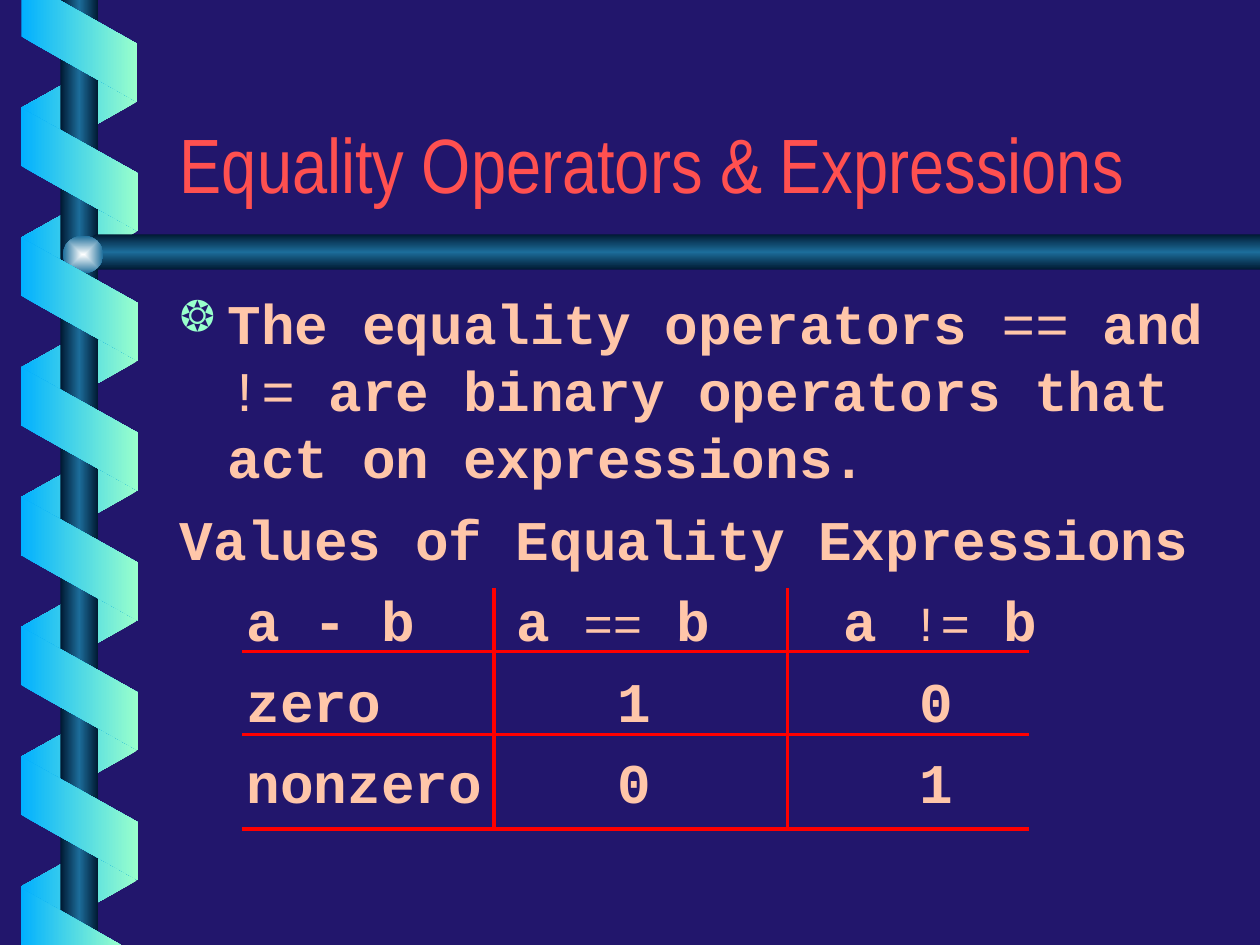
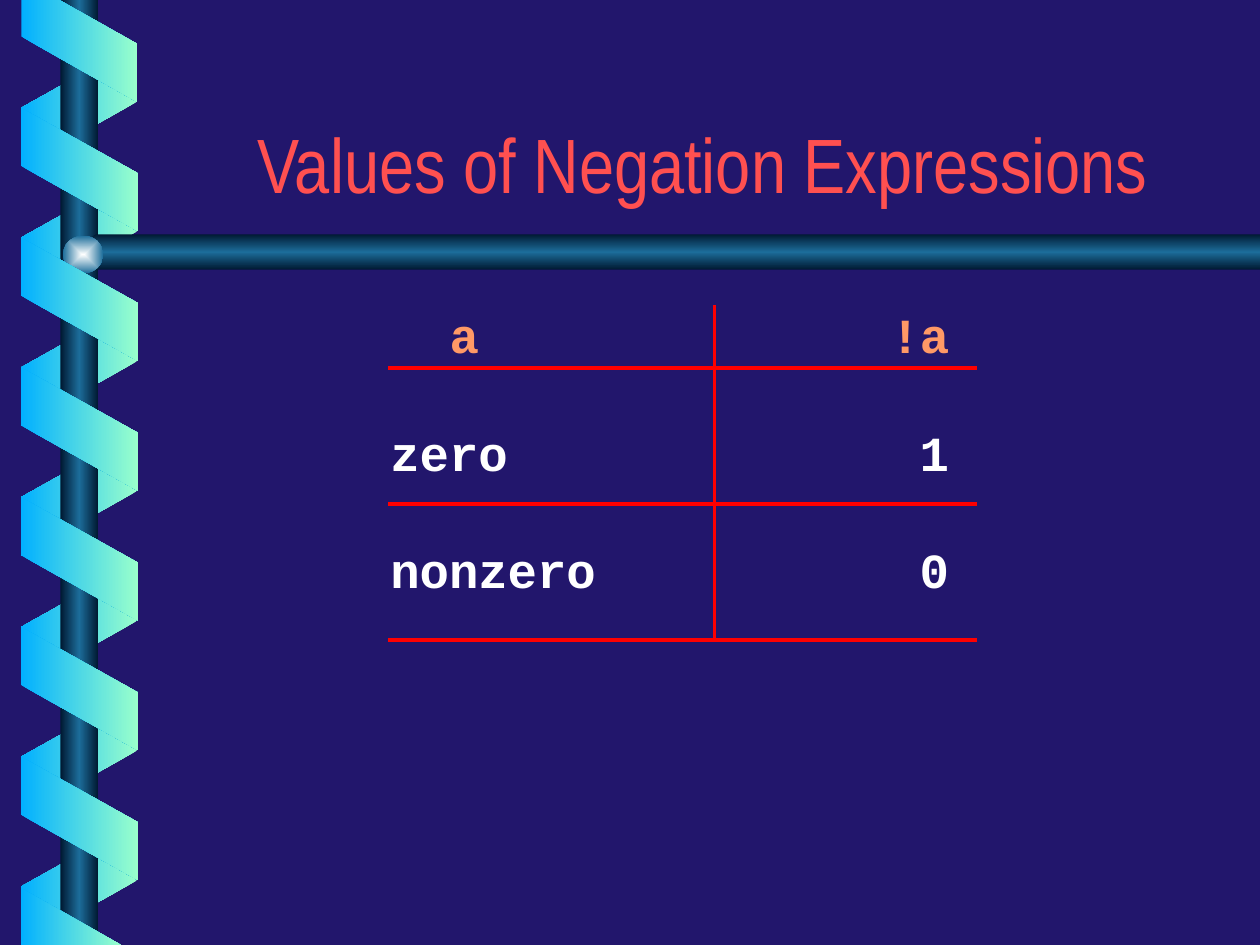
"""Build two slides on equality and negation operators over a spiral-bound backdrop."""
from lxml.etree import SubElement
from pptx import Presentation
from pptx.dml.color import RGBColor
from pptx.enum.shapes import MSO_CONNECTOR, MSO_SHAPE
from pptx.enum.text import MSO_ANCHOR, PP_ALIGN
from pptx.oxml import parse_xml
from pptx.oxml.ns import nsdecls, qn
from pptx.util import Inches, Pt

COLORS = {
    "background": "22166C", "title": "FF5050", "body": "FFC6A9", "header": "FF9966",
    "value": "FFFFFF", "rule": "FF0000", "mint": "99FFCC", "sky": "01B0FF",
    "navy": "001932", "steel": "1C6D9A", "shine": "FEFFFF",
}
TITLE_FONT, CODE_FONT = "Arial Narrow", "Courier New"
RIBBON = ["sky", "mint"]
TUBE = ["navy", "steel", "navy"]
PITCH = 1.03


def paint(shape, names, direction):
    """Give a shape an even gradient, no outline and no shadow."""
    shape.shadow.inherit = False
    shape.line.fill.background()
    shape.fill.gradient()
    stops = "".join(
        f'<a:gs pos="{100000 * index // (len(names) - 1)}"><a:srgbClr val="{COLORS[name]}"/></a:gs>'
        for index, name in enumerate(names))
    gradient = shape.element.spPr.find(qn("a:gradFill"))
    gradient.getparent().replace(gradient, parse_xml(
        f'<a:gradFill {nsdecls("a")} rotWithShape="0"><a:gsLst>{stops}</a:gsLst>{direction}</a:gradFill>'))


def add_span(para, text, size, color, font=CODE_FONT, bold=True):
    """Add one formatted run to a paragraph."""
    span = para.add_run()
    span.text = text
    span.font.size = Pt(size)
    span.font.name = font
    span.font.bold = bold
    span.font.color.rgb = RGBColor.from_string(COLORS[color])


ACROSS = '<a:lin ang="0" scaled="0"/>'
DOWN = '<a:lin ang="5400000" scaled="0"/>'
CENTRE = '<a:path path="rect"><a:fillToRect l="50000" t="50000" r="50000" b="50000"/></a:path>'

deck = Presentation()
deck.slide_width, deck.slide_height = Inches(10), Inches(7.5)
layout = deck.slide_layouts[6]
for placeholder in list(layout.placeholders):
    layout.shapes.element.remove(placeholder.element)
layout.background.fill.solid()
layout.background.fill.fore_color.rgb = RGBColor.from_string(COLORS["background"])
pages = [deck.slides.add_slide(layout) for number in range(2)]

shapes = pages[0].shapes
for turn in range(7):
    back = shapes.add_shape(MSO_SHAPE.PARALLELOGRAM, Inches(0.14), Inches(0.37 + PITCH * turn),
                            Inches(0.98), Inches(0.92))
    back.adjustments[0] = 0.56
    back.rotation = 90
    back.element.spPr.find(qn("a:xfrm")).set("flipH", "1")
    paint(back, RIBBON[::-1], ACROSS)

post = shapes.add_shape(MSO_SHAPE.RECTANGLE, Inches(0.48), 0, Inches(0.3), Inches(7.5))
paint(post, TUBE, ACROSS)

outlines = [
    ([(10, 1.86), (0.76, 1.86), (0.6, 2), (0.76, 2.14), (10, 2.14)], TUBE, DOWN),
    ([(0.17, 0), (0.17, 0.29), (1.09, 0.81), (1.09, 0.35), (0.47, 0)], RIBBON, ACROSS),
    ([(0.96, 7.5), (0.17, 7.05), (0.17, 7.5)], RIBBON, ACROSS),
]
for points, names, direction in outlines:
    corners = [(Inches(x), Inches(y)) for x, y in points]
    builder = shapes.build_freeform(*corners[0])
    builder.add_line_segments(corners[1:], close=True)
    paint(builder.convert_to_shape(), names, direction)

knob = shapes.add_shape(MSO_SHAPE.OVAL, Inches(0.5), Inches(1.87), Inches(0.32), Inches(0.3))
paint(knob, ["shine", "steel"], CENTRE)

for turn in range(6):
    front = shapes.add_shape(MSO_SHAPE.PARALLELOGRAM, Inches(0.14), Inches(0.88 + PITCH * turn),
                             Inches(0.98), Inches(0.93))
    front.adjustments[0] = 0.56
    front.rotation = 270
    paint(front, RIBBON, ACROSS)

for shape in list(shapes):
    layout.shapes.element.append(shape.element)

titles = [("Equality Operators & Expressions", PP_ALIGN.LEFT),
          ("Values of Negation Expressions", PP_ALIGN.CENTER)]
for page, (title, alignment) in zip(pages, titles):
    box = page.shapes.add_textbox(Inches(1.33), Inches(0.46), Inches(8.5), Inches(1.25))
    box.text_frame.word_wrap = True
    box.text_frame.vertical_anchor = MSO_ANCHOR.BOTTOM
    para = box.text_frame.paragraphs[0]
    para.alignment = alignment
    add_span(para, title, 44, "title", TITLE_FONT, False)

equality_paragraphs = [
    ([], [("The equality operators ", 32), ("==", 32), (" and ", 32), ("!=", 32),
          (" are binary operators that act on expressions.", 32)]),
    ([], [("Values of Equality Expressions", 32)]),
    ([0.53, 2.67, 5.27], [("\ta - b\ta ", 32), ("==", 28), (" b\ta ", 32), ("!=", 28), (" b", 32)]),
    ([0.53, 3.47, 5.87], [("\tzero\t1\t0", 32)]),
    ([0.53, 3.47, 5.87], [("\tnonzero\t0\t1", 32)]),
]
negation_paragraphs = [
    ([0.47, 3.97], [("\ta\t!a", 28)]),
    ([4.2], [("zero\t1", 28)]),
    ([4.2], [("nonzero\t0", 28)]),
]
texts = [
    ((1.33, 2.24, 8.5, 4.5), equality_paragraphs, ["body"] * 5, [8] * 5),
    ((3, 2.37, 4.8, 2.44), negation_paragraphs, ["header", "value", "value"], [0, 33.5, 33.5]),
]
for page, (area, paragraphs, colors, gaps) in zip(pages, texts):
    box = page.shapes.add_textbox(*[Inches(length) for length in area])
    frame = box.text_frame
    frame.word_wrap = True
    for index, (stops, spans) in enumerate(paragraphs):
        para = frame.add_paragraph() if index else frame.paragraphs[0]
        para.space_before = Pt(gaps[index])
        for text, size in spans:
            add_span(para, text, size, colors[index], bold=text not in ("==", "!="))
        if stops:
            tab_list = SubElement(para._p.get_or_add_pPr(), qn("a:tabLst"))
            for stop in stops:
                SubElement(tab_list, qn("a:tab"), pos=str(Inches(stop)), algn="l")

bulleted = pages[0].shapes[-1].text_frame.paragraphs[0]._p.get_or_add_pPr()
bulleted.set("marL", str(Inches(0.38)))
bulleted.set("indent", str(-Inches(0.38)))
bullet_color = SubElement(bulleted, qn("a:buClr"))
SubElement(bullet_color, qn("a:srgbClr"), val=COLORS["mint"])
SubElement(bulleted, qn("a:buSzPct"), val="75000")
SubElement(bulleted, qn("a:buChar"), char="\u2742")

grids = [([1.92, 8.17], [5.17, 5.83, 6.58], [3.92, 6.25], 4.67),
         ([3.08, 7.75], [2.92, 4, 5.08], [5.67], 2.42)]
for page, ((left, right), rows, columns, top) in zip(pages, grids):
    rules = [(left, row, right, row) for row in rows]
    rules += [(column, top, column, rows[-1]) for column in columns]
    for ends in rules:
        rule = page.shapes.add_connector(MSO_CONNECTOR.STRAIGHT, *[Inches(end) for end in ends])
        rule.line.color.rgb = RGBColor.from_string(COLORS["rule"])
        rule.line.width = Pt(2.01)
        SubElement(rule.element.spPr, qn("a:effectLst"))

deck.save("out.pptx")
